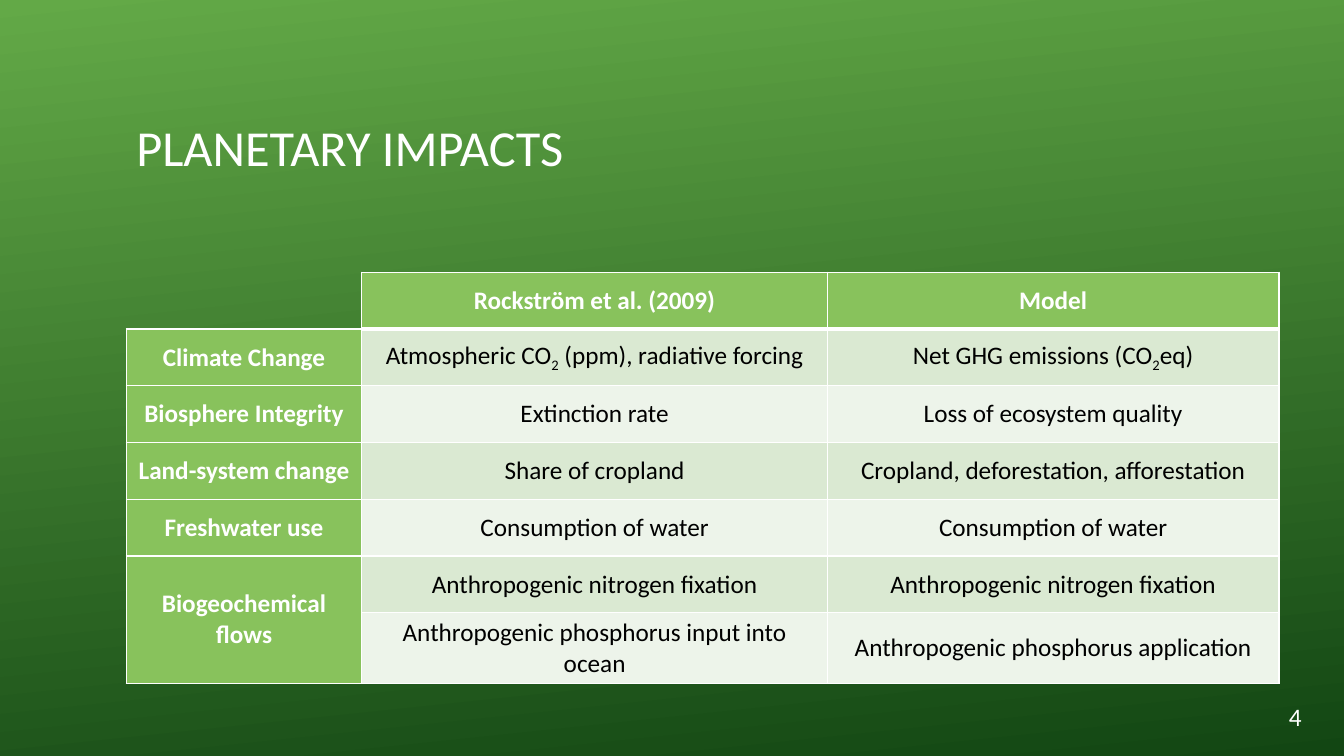
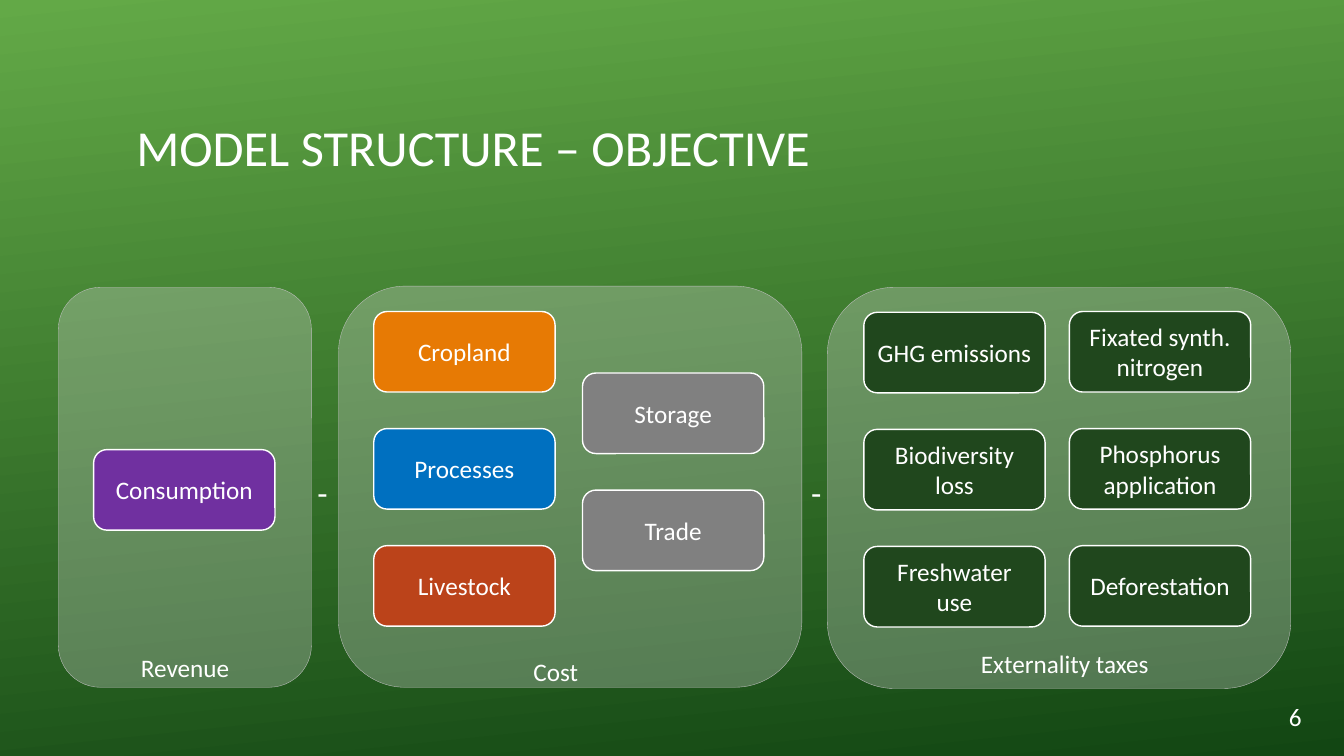
"""Builds two slides on planetary impacts and the objective of a model."""
from dataclasses import dataclass

from lxml import etree
from pptx import Presentation
from pptx.dml.color import RGBColor
from pptx.enum.shapes import MSO_SHAPE
from pptx.enum.text import MSO_ANCHOR, PP_ALIGN
from pptx.oxml.ns import qn
from pptx.util import Cm, Pt

ROUNDED = MSO_SHAPE.ROUNDED_RECTANGLE
LEFT, CENTER, RIGHT = PP_ALIGN.LEFT, PP_ALIGN.CENTER, PP_ALIGN.RIGHT
TOP, MIDDLE = MSO_ANCHOR.TOP, MSO_ANCHOR.MIDDLE
TITLE_ONLY = 5


@dataclass(frozen=True)
class Theme:
    """Colours, font and type sizes of the deck."""
    font: str = "Calibri"
    title_size: int = 36
    sign_size: int = 24
    text_size: int = 18
    bg_top: str = "63A947"
    bg_bottom: str = "124613"
    bg_angle: int = 276
    white: str = "FFFFFF"
    black: str = "000000"
    header: str = "88C25C"
    bands: tuple = ("DAE9D2", "EDF4EA")
    panel: str = "D9D9D9"
    panel_line: str = "BFBFBF"
    panel_alpha: int = 30
    purple: str = "7030A0"
    orange: str = "E77A04"
    blue: str = "0070C0"
    rust: str = "BB431A"
    gray: str = "808080"
    forest: str = "20471D"


THEME = Theme()

TABLE_COLS = (5.94, 11.73, 11.38)
TABLE_ROW = 1.43
TABLE_ROWS = (
    ("", "Rockström et al. (2009)", "Model"),
    ("Climate Change", "Atmospheric CO~2~ (ppm), radiative forcing",
     "Net GHG emissions (CO~2~eq)"),
    ("Biosphere Integrity", "Extinction rate", "Loss of ecosystem quality"),
    ("Land-system change", "Share of cropland",
     "Cropland, deforestation, afforestation"),
    ("Freshwater use", "Consumption of water", "Consumption of water"),
    ("Biogeochemical flows", "Anthropogenic nitrogen fixation",
     "Anthropogenic nitrogen fixation"),
    ("", "Anthropogenic phosphorus input into ocean",
     "Anthropogenic phosphorus application"),
)

PANELS = (
    ("Revenue", (1.47, 7.24, 6.38, 10.08), (2.29, 16.31, 4.75)),
    ("Cost", (8.53, 7.21, 11.68, 10.11), (5.0, 16.41, 18.01)),
    ("Externality taxes", (20.85, 7.24, 11.68, 10.11), (17.83, 16.21, 18.01)),
)
BOX_W, BOX_H, BOX_PITCH = 4.57, 2.03, 2.95
BOX_COLUMNS = (
    (2.36, 11.33, (("Consumption", THEME.purple),)),
    (9.42, 7.85, (("Cropland", THEME.orange), ("Processes", THEME.blue),
                  ("Livestock", THEME.rust))),
    (14.68, 9.4, (("Storage", THEME.gray), ("Trade", THEME.gray))),
    (21.77, 7.87, (("GHG emissions", THEME.forest),
                   ("Biodiversity loss", THEME.forest),
                   ("Freshwater use", THEME.forest))),
    (26.95, 7.85, (("Fixated synth. nitrogen", THEME.forest),
                   ("Phosphorus application", THEME.forest),
                   ("Deforestation", THEME.forest))),
)
MINUS_LEFTS = (7.75, 20.19)


def rgb(color):
    """Return the colour object of a hex string."""
    return RGBColor.from_string(color)


def write(tf, text, size=THEME.text_size, color=THEME.white, bold=False,
          align=CENTER):
    """Write one paragraph; text between tildes becomes subscript."""
    p = tf.paragraphs[0]
    p.alignment = align
    for i, part in enumerate(text.split("~")):
        r = p.add_run()
        r.text = part
        r.font.name = THEME.font
        r.font.size = Pt(size)
        r.font.bold = bold
        r.font.color.rgb = rgb(color)
        if i % 2:
            r._r.get_or_add_rPr().set("baseline", "-25000")
    return p


def add_text(s, text, box, size=THEME.text_size, align=CENTER, anchor=TOP,
             wrap=True):
    """Add a text box."""
    tf = s.shapes.add_textbox(*map(Cm, box)).text_frame
    tf.word_wrap = wrap
    tf.vertical_anchor = anchor
    write(tf, text, size, align=align)


def add_rounded(s, box, fill, line, width):
    """Add a rounded rectangle without shadow."""
    sp = s.shapes.add_shape(ROUNDED, *map(Cm, box))
    sp.shadow.inherit = False
    sp.fill.solid()
    sp.fill.fore_color.rgb = rgb(fill)
    sp.line.color.rgb = rgb(line)
    sp.line.width = Pt(width)
    return sp


def add_panel(s, box):
    """Add a translucent panel."""
    sp = add_rounded(s, box, THEME.panel, THEME.panel_line, 0.25)
    color = sp._element.spPr.find(qn("a:solidFill"))[0]
    etree.SubElement(color, qn("a:alpha"), val=str(THEME.panel_alpha * 1000))


def add_box(s, text, left, top, fill):
    """Add a labelled box of the model."""
    sp = add_rounded(s, (left, top, BOX_W, BOX_H), fill, THEME.white, 1)
    tf = sp.text_frame
    tf.word_wrap = True
    tf.vertical_anchor = MIDDLE
    write(tf, text)


def add_border(cell, side, width):
    """Draw one white cell border, or none for zero width."""
    ln = etree.SubElement(cell._tc.get_or_add_tcPr(), qn(f"a:ln{side}"),
                          w=str(Pt(width)))
    if width:
        fill = etree.SubElement(ln, qn("a:solidFill"))
        etree.SubElement(fill, qn("a:srgbClr"), val=THEME.white)
    else:
        etree.SubElement(ln, qn("a:noFill"))


def format_cell(cell, row, col, text):
    """Give a cell its borders, fill and text."""
    corner = row == col == 0
    heading = row == 0 or col == 0
    outer = 0 if corner else 1
    bottom = 3 if row == 0 and col else 1
    top = 3 if row == 1 and col else outer
    for side, width in zip("LRTB", (outer, 1, top, bottom)):
        add_border(cell, side, width)
    if corner:
        cell.fill.background()
        return
    cell.fill.solid()
    cell.fill.fore_color.rgb = rgb(
        THEME.header if heading else THEME.bands[(row - 1) % 2])
    cell.vertical_anchor = MIDDLE
    if text:
        write(cell.text_frame, text, bold=heading,
              color=THEME.white if heading else THEME.black)


def add_impact_table(s, left, top):
    """Add the table of planetary impacts."""
    n = len(TABLE_ROWS)
    table = s.shapes.add_table(n, len(TABLE_COLS), Cm(left), Cm(top),
                               Cm(sum(TABLE_COLS)), Cm(n * TABLE_ROW)).table
    table.first_row = table.horz_banding = False
    for column, width in zip(table.columns, TABLE_COLS):
        column.width = Cm(width)
    for i, texts in enumerate(TABLE_ROWS):
        table.rows[i].height = Cm(TABLE_ROW)
        for j, text in enumerate(texts):
            format_cell(table.cell(i, j), i, j, text)
    table.cell(n - 2, 0).merge(table.cell(n - 1, 0))


def set_background(prs):
    """Give the slide master its green gradient."""
    fill = prs.slide_master.background.fill
    fill.gradient()
    fill.gradient_angle = THEME.bg_angle
    for stop, color, position in zip(fill.gradient_stops,
                                     (THEME.bg_top, THEME.bg_bottom), (0, 1)):
        stop.color.rgb = rgb(color)
        stop.position = position


def add_slide(prs, title, number):
    """Add a slide with its title and number."""
    s = prs.slides.add_slide(prs.slide_layouts[TITLE_ONLY])
    sp = s.shapes.title
    sp.left, sp.top, sp.width, sp.height = map(Cm, (3.18, 1.73, 27.51, 4.11))
    sp.text_frame.vertical_anchor = MIDDLE
    p = write(sp.text_frame, title, THEME.title_size, align=LEFT)
    p.line_spacing = 0.9
    add_text(s, number, (25.43, 17.55, 7.62, 1.02), align=RIGHT, anchor=MIDDLE)
    return s


def add_impacts(prs):
    """Build the slide of planetary impacts."""
    s = add_slide(prs, "PLANETARY IMPACTS", "4")
    add_impact_table(s, 3.18, 6.86)


def add_objective(prs):
    """Build the slide of the objective function."""
    s = add_slide(prs, "MODEL STRUCTURE – OBJECTIVE", "6")
    for label, box, place in PANELS:
        add_panel(s, box)
        add_text(s, label, (*place, 1.02))
    for left, top, items in BOX_COLUMNS:
        for i, (text, fill) in enumerate(items):
            add_box(s, text, left, top + i * BOX_PITCH, fill)
    for left in MINUS_LEFTS:
        add_text(s, "-", (left, 11.76, 0.79, 1.27), THEME.sign_size,
                 align=LEFT, wrap=False)


def main():
    """Build and save the deck."""
    prs = Presentation()
    prs.slide_width, prs.slide_height = Cm(33.87), Cm(19.05)
    set_background(prs)
    add_impacts(prs)
    add_objective(prs)
    prs.save("out.pptx")


if __name__ == "__main__":
    main()
